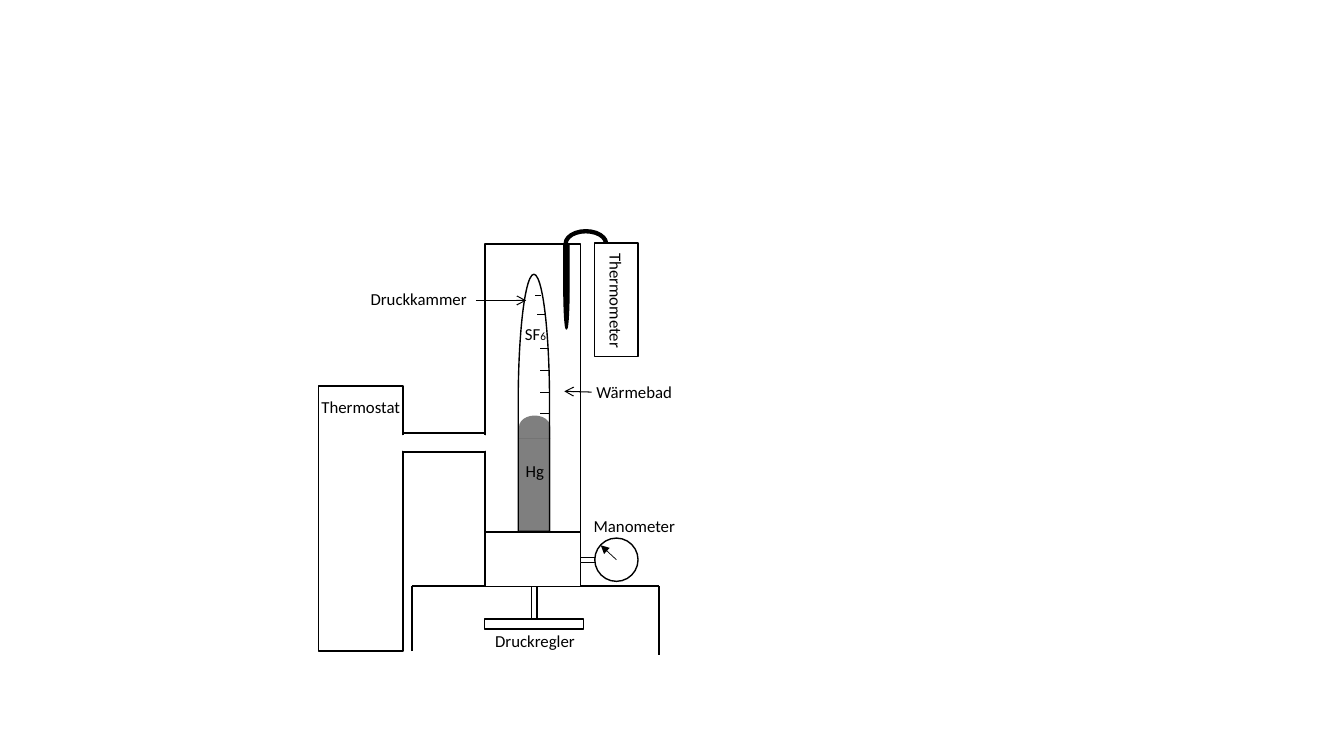
from dataclasses import dataclass

from lxml.etree import SubElement
from pptx import Presentation
from pptx.dml.color import RGBColor
from pptx.enum.shapes import MSO_CONNECTOR, MSO_SHAPE
from pptx.enum.text import MSO_AUTO_SIZE
from pptx.oxml.ns import qn
from pptx.util import Cm, Pt

BLACK = "000000"
WHITE = "FFFFFF"


@dataclass
class Box:
    """A region in centimetres."""
    left: float
    top: float
    width: float
    height: float

    def inner(self, left, top, width, height):
        """Return a box placed relative to this one."""
        return Box(self.left + left, self.top + top, width, height)

    def lengths(self):
        """Return the four slide lengths."""
        return Cm(self.left), Cm(self.top), Cm(self.width), Cm(self.height)


def color(value):
    """Turn a hex string into a colour."""
    return RGBColor.from_string(value)


def add_solid(page, kind, box, fill=WHITE, line=BLACK, alpha=None):
    """Add a flat shape, with an outline unless line is None."""
    shape = page.shapes.add_shape(kind, *box.lengths())
    shape.shadow.inherit = False
    shape.fill.solid()
    shape.fill.fore_color.rgb = color(fill)
    if alpha:
        tint = shape.element.spPr.find(qn("a:solidFill"))[0]
        SubElement(tint, qn("a:alpha")).set("val", str(alpha * 1000))
    if line:
        shape.line.color.rgb = color(line)
        shape.line.width = Pt(1)
    else:
        shape.line.fill.background()
    return shape


def add_upright_delay(page, box, rotation, **style):
    """Add a delay shape turned on end so that it fills the box."""
    turn = (box.width - box.height) / 2
    flat = box.inner(turn, -turn, box.height, box.width)
    shape = add_solid(page, MSO_SHAPE.FLOWCHART_DELAY, flat, **style)
    shape.rotation = rotation


def add_stroke(page, box, start, end, width, head=None):
    """Draw a straight line between two points relative to the box."""
    points = [Cm(value) for x, y in (start, end) for value in (box.left + x, box.top + y)]
    stroke = page.shapes.add_connector(MSO_CONNECTOR.STRAIGHT, *points)
    stroke.line.color.rgb = color(BLACK)
    stroke.line.width = Pt(width)
    properties = stroke.element.spPr
    if head:
        SubElement(properties.find(qn("a:ln")), qn("a:tailEnd")).set("type", head)
    SubElement(properties, qn("a:effectLst"))


def add_label(page, box, text, subscript="", rotation=0):
    """Add a one-line label with an optional small suffix."""
    label = page.shapes.add_textbox(*box.lengths())
    label.rotation = rotation
    frame = label.text_frame
    frame.word_wrap = True
    frame.auto_size = MSO_AUTO_SIZE.SHAPE_TO_FIT_TEXT
    para = frame.paragraphs[0]
    para.font.name = "Calibri"
    para.font.size = Pt(12)
    para.font.color.rgb = color(BLACK)
    para.add_run().text = text
    if subscript:
        span = para.add_run()
        span.text = subscript
        span.font.size = Pt(8)


def draw_stand(page, box):
    """Draw the table with the pressure regulator below it."""
    add_stroke(page, box, (0, box.height - 0.1), (0, 0), 1.5)
    add_stroke(page, box, (0, 0), (box.width, 0), 1.5)
    add_stroke(page, box, (box.width, 0), (box.width, box.height), 1.5)
    add_solid(page, MSO_SHAPE.RECTANGLE, box.inner(1.83, 0.84, 2.49, 0.25))
    add_solid(page, MSO_SHAPE.RECTANGLE, box.inner(3.02, 0.02, 0.13, 0.82))
    add_label(page, box.inner(1.85, 1.01, 2.59, 0.76), "Druckregler")


def draw_bath(page, box):
    """Draw the heat bath standing on its base."""
    base = 1.37
    bath = box.height - base
    add_solid(page, MSO_SHAPE.RECTANGLE, box.inner(0, bath, box.width, base))
    add_solid(page, MSO_SHAPE.RECTANGLE, box.inner(0, 0, box.width, bath))
    add_label(page, box.inner(2.56, 3.35, 2.74, 0.76), "Wärmebad")
    add_stroke(page, box, (2.69, 3.73), (2, 3.71), 0.75, "arrow")


def draw_thermostat(page, box):
    """Draw the thermostat and its pipe to the bath."""
    pipe = 2.06
    add_solid(page, MSO_SHAPE.RECTANGLE, box)
    add_solid(page, MSO_SHAPE.RECTANGLE, box.inner(box.width, 1.24, pipe, 0.38), line=WHITE)
    for y in (1.19, 1.65):
        add_stroke(page, box, (box.width, y), (box.width + pipe, y), 1.5)
    add_label(page, box.inner(-0.18, 0.15, 2.59, 0.76), "Thermostat")


def draw_tube(page, box):
    """Draw the pressure chamber with mercury, gas and scale."""
    add_upright_delay(page, box, 270)
    add_solid(page, MSO_SHAPE.FLOWCHART_PROCESS, box.inner(0.02, 4.14, box.width, 2.36),
              fill=BLACK, line=None, alpha=50)
    add_upright_delay(page, box.inner(0.02, 3.56, box.width, 0.58), 270,
                      fill=BLACK, line=None, alpha=50)
    add_label(page, box.inner(-0.06, 4.57, 1.04, 0.76), "Hg")
    add_label(page, box.inner(-0.08, 1.12, 1.17, 0.76), "SF", "6")
    ticks = [(0.53, 0.43, 0.58), (1.01, 0.48, 0.68), (1.88, 0.55, 0.78),
             (2.41, 0.55, 0.81), (2.97, 0.55, 0.81), (3.5, 0.55, 0.81)]
    for y, start, end in ticks:
        add_stroke(page, box, (start, y), (end, y), 0.5)
    add_stroke(page, box, (-1.07, 0.66), (0.2, 0.66), 0.75, "arrow")
    add_label(page, box.inner(-3.97, 0.25, 3.2, 0.76), "Druckkammer")


def draw_manometer(page, box):
    """Draw the pressure gauge with its pipe and needle."""
    add_solid(page, MSO_SHAPE.FLOWCHART_PROCESS, box.inner(-0.36, 0.49, 0.74, 0.13))
    add_solid(page, MSO_SHAPE.OVAL, box)
    add_label(page, box.inner(-0.28, -0.68, 2.59, 0.76), "Manometer")
    add_stroke(page, box, (box.width / 2, box.height / 2), (0.15, 0.18), 0.5, "triangle")


def draw_thermometer(page, box):
    """Draw the thermometer, its cable and its probe."""
    cable = add_solid(page, MSO_SHAPE.BLOCK_ARC, box.inner(-0.77, -0.33, 1.09, 0.69), fill=BLACK)
    for index, value in enumerate((108, 214.12, 0.11)):
        cable.adjustments[index] = value
    add_solid(page, MSO_SHAPE.FLOWCHART_PROCESS, box)
    add_upright_delay(page, box.inner(-0.78, 0.04, 0.13, 2.13), 90, fill=BLACK)
    add_label(page, box.inner(-1.05, 1.22, 3.18, 0.76), "Thermometer", rotation=90)


def main():
    """Build the slide of the apparatus and save it."""
    deck = Presentation()
    deck.slide_width = Cm(33.87)
    deck.slide_height = Cm(19.05)
    page = deck.slides.add_slide(deck.slide_layouts[6])
    draw_stand(page, Box(10.38, 14.76, 6.23, 1.75))
    draw_bath(page, Box(12.22, 6.15, 2.41, 8.63))
    draw_thermostat(page, Box(8.03, 9.73, 2.13, 6.68))
    draw_tube(page, Box(13.06, 6.91, 0.79, 6.48))
    draw_manometer(page, Box(14.99, 13.56, 1.09, 1.09))
    draw_thermometer(page, Box(14.99, 6.12, 1.09, 2.87))
    deck.save("out.pptx")


if __name__ == "__main__":
    main()
